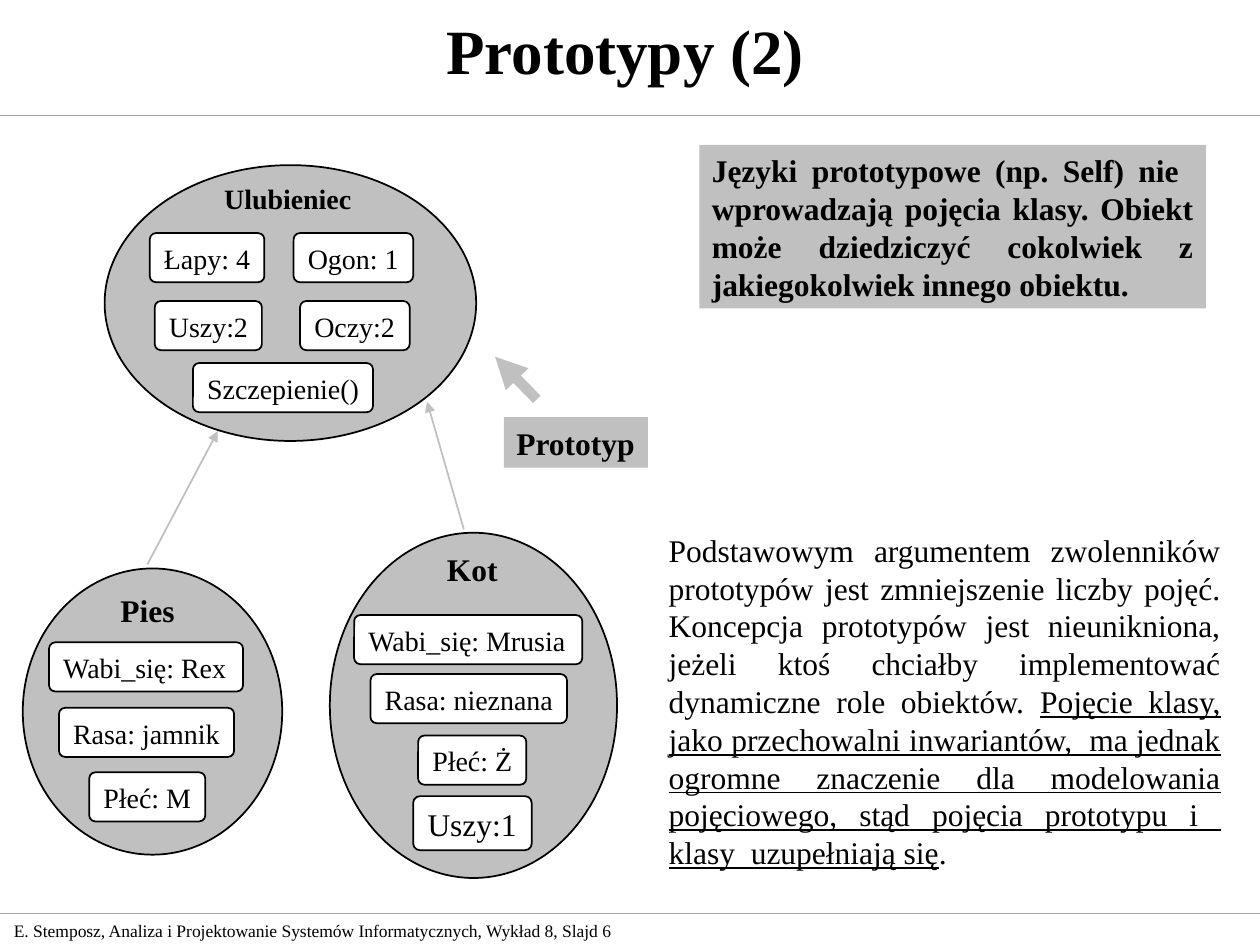
from dataclasses import dataclass
from typing import Any, NamedTuple

from lxml.etree import SubElement
from pptx import Presentation
from pptx.dml.color import RGBColor
from pptx.enum.shapes import MSO_CONNECTOR, MSO_SHAPE
from pptx.enum.text import MSO_ANCHOR, MSO_AUTO_SIZE, PP_ALIGN
from pptx.oxml.ns import qn
from pptx.util import Cm, Pt

BLACK, WHITE, SILVER, ORANGE = "000000", "FFFFFF", "C0C0C0", "FF9900"
SLOT_HEIGHT = 0.99
SIDE_MARGIN = 0.25


class Frame(NamedTuple):
    left: float
    top: float
    width: float
    height: float = SLOT_HEIGHT


class Segment(NamedTuple):
    start: tuple[float, float]
    end: tuple[float, float]
    color: str
    weight: float
    arrow: bool = False


@dataclass(frozen=True)
class Label:
    text: str
    frame: Frame
    size: float = 16
    bold: bool = False
    align: Any = PP_ALIGN.LEFT
    anchor: Any = MSO_ANCHOR.TOP
    right_margin: float = 0
    underlined: str = ""
    ending: str = ""


@dataclass(frozen=True)
class Prototype:
    frame: Frame
    name: Label
    slots: tuple[Label, ...]


PROTOTYPES = (
    Prototype(
        Frame(2.11, 3.33, 7.49, 5.56),
        Label("Ulubieniec", Frame(4.27, 3.53, 3.07, 0.91), bold=True),
        (
            Label("Łapy: 4", Frame(3.02, 4.7, 2.31)),
            Label("Ogon: 1", Frame(5.92, 4.7, 2.41)),
            Label("Uszy:2", Frame(3.12, 6.07, 2.16)),
            Label("Oczy:2", Frame(6.05, 6.07, 2.21)),
            Label("Szczepienie()", Frame(3.89, 7.32, 3.63)),
        ),
    ),
    Prototype(
        Frame(0.46, 11.46, 5.23, 5.77),
        Label("Pies", Frame(2.18, 11.79, 1.6, 1.02), 18, True),
        (
            Label("Wabi_się: Rex", Frame(0.99, 12.95, 3.91)),
            Label("Rasa: jamnik", Frame(1.19, 14.27, 3.53)),
            Label("Płeć: M", Frame(1.8, 15.57, 2.34)),
        ),
    ),
    Prototype(
        Frame(6.65, 10.74, 5.79, 6.96),
        Label("Kot", Frame(8.76, 10.95, 1.52, 1.02), 18, True),
        (
            Label("Wabi_się: Mrusia", Frame(7.14, 12.4, 4.6)),
            Label("Rasa: nieznana", Frame(7.47, 13.59, 3.96)),
            Label("Płeć: Ż", Frame(8.43, 14.83, 2.18)),
            Label("Uszy:1", Frame(8.33, 16.05, 2.39, 1.09), 18),
        ),
    ),
)

SEGMENTS = (
    Segment((0, 2.33), (25.4, 2.33), ORANGE, 0.75),
    Segment((0, 18.41), (25.4, 18.41), ORANGE, 0.75),
    Segment((9.35, 10.67), (8.61, 8.1), SILVER, 1, True),
    Segment((2.97, 11.38), (4.39, 8.69), SILVER, 1, True),
    Segment((10.82, 8.05), (9.98, 7.19), SILVER, 6, True),
)

PLAIN_LABELS = (
    Label("E. Stemposz, Analiza i Projektowanie Systemów Informatycznych, Wykład 8, Slajd 6",
          Frame(0.03, 18.42, 13.31, 0.69), 10, anchor=MSO_ANCHOR.MIDDLE),
    Label("Prototypy (2)", Frame(0, -0.08, 25.2, 2.16), 36, True,
          PP_ALIGN.CENTER, MSO_ANCHOR.MIDDLE, SIDE_MARGIN),
    Label("Podstawowym argumentem zwolenników prototypów jest zmniejszenie liczby pojęć. "
          "Koncepcja prototypów jest nieunikniona, jeżeli ktoś chciałby implementować "
          "dynamiczne role obiektów. ",
          Frame(13.23, 10.57, 11.63, 7.11), 18, align=PP_ALIGN.JUSTIFY,
          right_margin=SIDE_MARGIN,
          underlined="Pojęcie klasy, jako przechowalni inwariantów,  ma jednak ogromne "
                     "znaczenie dla modelowania pojęciowego, stąd pojęcia prototypu i  "
                     "klasy  uzupełniają się",
          ending="."),
)

SHADED_LABELS = (
    Label("Prototyp", Frame(10.16, 8.41, 2.9, 1.02), 18, True),
    Label("Języki prototypowe (np. Self) nie  wprowadzają pojęcia klasy. Obiekt może "
          "dziedziczyć cokolwiek z jakiegokolwiek innego obiektu.",
          Frame(14.1, 2.92, 10.21, 3.3), 18, True, PP_ALIGN.JUSTIFY,
          right_margin=SIDE_MARGIN),
)


def paint(target: Any, color: str) -> None:
    if hasattr(target, "solid"):
        target.solid()
        target = target.fore_color
    target.rgb = RGBColor.from_string(color)


def apply_format(target: Any, values: dict[str, Any]) -> None:
    for name, value in values.items():
        setattr(target, name, value)


def write_label(box: Any, label: Label) -> None:
    text_frame = box.text_frame
    apply_format(text_frame, {
        "word_wrap": True,
        "auto_size": MSO_AUTO_SIZE.NONE,
        "vertical_anchor": label.anchor,
        "margin_left": Cm(SIDE_MARGIN), "margin_right": Cm(label.right_margin),
        "margin_top": Cm(0.13), "margin_bottom": Cm(0.13),
    })
    para = text_frame.paragraphs[0]
    para.alignment = label.align
    for text, underline in ((label.text, False), (label.underlined, True), (label.ending, False)):
        if text:
            span = para.add_run()
            span.text = text
            apply_format(span.font, {"name": "Times New Roman", "size": Pt(label.size),
                                     "bold": label.bold, "underline": underline})
            paint(span.font.color, BLACK)


def draw_text(page: Any, label: Label) -> None:
    write_label(page.shapes.add_textbox(*map(Cm, label.frame)), label)


def draw_shape(page: Any, kind: Any, frame: Frame, fill: str, outlined: bool = True) -> Any:
    shape = page.shapes.add_shape(kind, *map(Cm, frame))
    shape.shadow.inherit = False
    paint(shape.fill, fill)
    if outlined:
        paint(shape.line.fill, BLACK)
        shape.line.width = Pt(1)
    else:
        shape.line.fill.background()
    return shape


def draw_segment(page: Any, segment: Segment) -> None:
    connector = page.shapes.add_connector(
        MSO_CONNECTOR.STRAIGHT, *map(Cm, segment.start + segment.end))
    paint(connector.line.fill, segment.color)
    connector.line.width = Pt(segment.weight)
    properties = connector._element.spPr
    if segment.arrow:
        SubElement(properties.find(qn("a:ln")), qn("a:tailEnd"), type="triangle")
    SubElement(properties, qn("a:effectLst"))


def draw_prototype(page: Any, prototype: Prototype) -> None:
    draw_shape(page, MSO_SHAPE.OVAL, prototype.frame, SILVER)
    draw_text(page, prototype.name)
    for slot in prototype.slots:
        box = draw_shape(page, MSO_SHAPE.ROUNDED_RECTANGLE, slot.frame, WHITE)
        box.adjustments[0] = 0.125
        write_label(box, slot)


def main() -> None:
    deck = Presentation()
    apply_format(deck, {"slide_width": Cm(25.4), "slide_height": Cm(19.05)})
    page = deck.slides.add_slide(deck.slide_layouts[6])
    for segment in SEGMENTS:
        draw_segment(page, segment)
    for label in PLAIN_LABELS:
        draw_text(page, label)
    for label in SHADED_LABELS:
        write_label(draw_shape(page, MSO_SHAPE.RECTANGLE, label.frame, SILVER, False), label)
    for prototype in PROTOTYPES:
        draw_prototype(page, prototype)
    deck.save("out.pptx")


if __name__ == "__main__":
    main()
